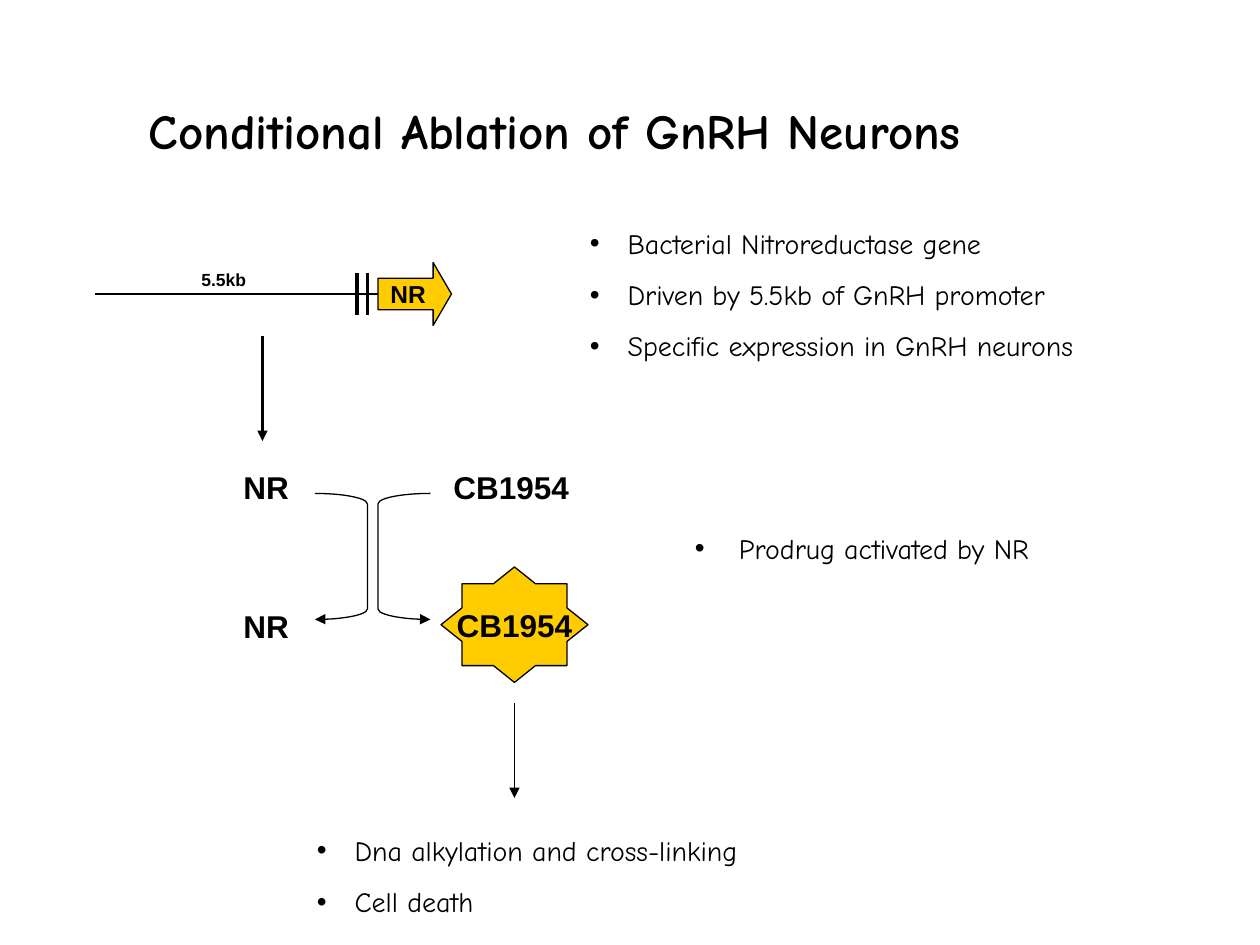
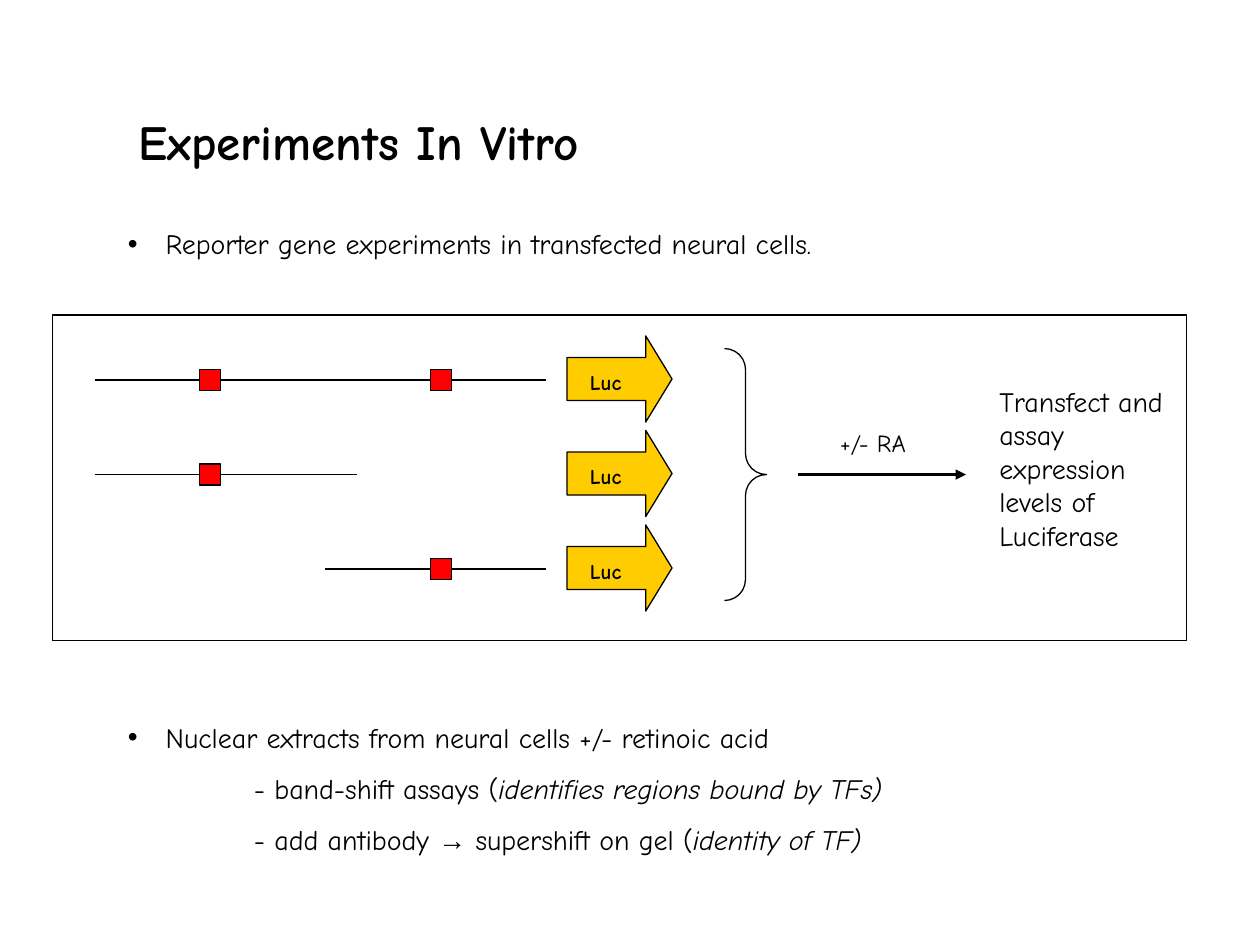
from lxml.etree import SubElement
from pptx import Presentation
from pptx.dml.color import RGBColor
from pptx.enum.shapes import MSO_CONNECTOR, MSO_SHAPE
from pptx.enum.text import MSO_ANCHOR, PP_ALIGN
from pptx.oxml.ns import qn
from pptx.util import Inches, Pt

COLS, ROWS = 120, 90
WIDE, HIGH = Inches(10), Inches(7.5)
BLACK, GOLD, RED = "000000", "FFCC00", "FF0000"
HAND, SANS = "Comic Neue", "Arial"
TIP = [(7, 0), (5, 1.6), (5, 3.9), (2, 3.9), (0, 5.5)]


def across(n):
    return round(WIDE * n / COLS)


def down(n):
    return round(HIGH * n / ROWS)


def place(x, y, w, h):
    return across(x), down(y), across(w), down(h)


def color(code):
    return RGBColor.from_string(code)


def ink(shape, fill=None, width=0.75):
    shape.shadow.inherit = False
    if fill:
        shape.fill.solid()
        shape.fill.fore_color.rgb = color(fill)
    else:
        shape.fill.background()
    shape.line.color.rgb = color(BLACK)
    shape.line.width = Pt(width)
    return shape


def point(item, end="tailEnd"):
    SubElement(item.line._get_or_add_ln(), qn("a:" + end), type="triangle")


def line(slide, x1, y1, x2, y2, width=0.75, arrow=False):
    bar = slide.shapes.add_connector(MSO_CONNECTOR.STRAIGHT, across(x1),
                                     down(y1), across(x2), down(y2))
    bar.line.color.rgb = color(BLACK)
    bar.line.width = Pt(width)
    if arrow:
        point(bar)
    SubElement(bar._element.spPr, qn("a:effectLst"))


def shape(slide, kind, box, fill=None, adjust=()):
    item = ink(slide.shapes.add_shape(kind, *place(*box)), fill)
    for i, value in enumerate(adjust):
        item.adjustments[i] = value
    return item


def write(frame, paras, size=16, font=HAND, bold=False, align=PP_ALIGN.LEFT,
          gap=0, bullet=0, inset=0, wrap=True, anchor=MSO_ANCHOR.TOP):
    frame.word_wrap = wrap
    frame.vertical_anchor = anchor
    for i, runs in enumerate(paras):
        para = frame.paragraphs[0] if i == 0 else frame.add_paragraph()
        props = para._p.get_or_add_pPr()
        if bullet and (i == 0 or not inset):
            props.set("marL", str(Inches(bullet)))
            props.set("indent", str(-Inches(bullet)))
            SubElement(props, qn("a:buFont"), typeface=SANS)
            SubElement(props, qn("a:buChar"), char="•")
        elif inset:
            props.set("marL", str(Inches(inset)))
            props.set("indent", "0")
        para.alignment = align
        if i:
            para.space_before = Pt(gap)
        for words, *style in [(runs,)] if isinstance(runs, str) else runs:
            run = para.add_run()
            run.text = words
            run.font.size = Pt(size)
            run.font.name = SANS if "sans" in style else font
            run.font.bold = bold
            run.font.italic = "slant" in style
            run.font.color.rgb = color(BLACK)


def text(slide, box, *paras, **form):
    write(slide.shapes.add_textbox(*place(*box)).text_frame, paras, **form)


def title(slide, box, words):
    text(slide, box, words, size=28, bold=True)


def bullets(slide, box, *paras, bullet=0.3, **form):
    text(slide, box, *paras, gap=10, bullet=bullet, **form)


def label(slide, box, words, size=18):
    text(slide, box, words, size=size, font=SANS, bold=True)


def star(slide, x, y, words):
    half = TIP + [(-a, b) for a, b in TIP[-2::-1]]
    ring = half + [(a, -b) for a, b in half[-2:0:-1]]
    dots = [(across(x + a), down(y + b)) for a, b in ring]
    pen = slide.shapes.build_freeform(*dots[0])
    pen.add_line_segments(dots[1:], close=True)
    item = ink(pen.convert_to_shape(), GOLD)
    write(item.text_frame, [words], size=18, font=SANS, bold=True,
          align=PP_ALIGN.CENTER, wrap=False, anchor=MSO_ANCHOR.MIDDLE)


def gene(slide, y, start, end, sites):
    line(slide, start, y, end, y)
    for x in sites:
        shape(slide, MSO_SHAPE.RECTANGLE, (x - 1, y - 1, 2, 2), RED)
    shape(slide, MSO_SHAPE.RIGHT_ARROW, (54, y - 4.2, 10, 8.2), GOLD,
          (0.5, 0.305))
    text(slide, (55, y - 1.6, 8, 3.6), "Luc", size=12, bold=True)


def ablate(slide):
    title(slide, (13, 9, 89, 6.8), "Conditional Ablation of GnRH Neurons")
    line(slide, 9, 28, 36, 28)
    shape(slide, MSO_SHAPE.RIGHT_ARROW, (36, 25, 7, 6), GOLD, (0.5, 0.291))
    label(slide, (36, 26, 6, 4), "NR", 14)
    for x in (34, 35):
        line(slide, x, 26, x, 30, 2.25)
    label(slide, (18, 25, 7, 3.2), "5.5kb", 10)
    for y in (44, 57.2):
        label(slide, (22, y, 8, 4.8), "NR")
    label(slide, (42, 44, 14, 4.8), "CB1954")
    for kind, x, end in ((MSO_SHAPE.RIGHT_BRACKET, 30, "tailEnd"),
                         (MSO_SHAPE.LEFT_BRACKET, 36, "headEnd")):
        point(shape(slide, kind, (x, 47, 5, 12), adjust=(0.2,)), end)
    star(slide, 49, 59.5, "CB1954")
    line(slide, 25, 32, 25, 42, 1.5, True)
    line(slide, 49, 67, 49, 76, arrow=True)
    bullets(slide, (29, 78.8, 48, 9.2), "Dna alkylation and cross-linking",
            "Cell death")
    bullets(slide, (55, 21, 53, 14.2), "Bacterial Nitroreductase gene",
            "Driven by 5.5kb of GnRH promoter",
            "Specific expression in GnRH neurons")
    bullets(slide, (65, 50, 37, 4.4), "Prodrug activated by NR", bullet=0.35)


def vitro(slide):
    title(slide, (12, 10, 57, 6.8), "Experiments In Vitro")
    bullets(slide, (11, 21, 77, 4.4),
            "Reporter gene experiments in transfected neural cells.")
    text(slide, (94, 36, 19, 17.3),
         "Transfect and assay expression levels of Luciferase")
    strands = ((9, 52, (20, 42)), (9, 34, (20,)), (31, 52, (42,)))
    for i, strand in enumerate(strands):
        gene(slide, 36.2 + 9 * i, *strand)
    shape(slide, MSO_SHAPE.RIGHT_BRACE, (69, 33.2, 4, 24), adjust=(0.5, 0.5))
    line(slide, 76, 45.2, 92, 45.2, 1.5, True)
    text(slide, (78.8, 40.2, 8.8, 4), "+/- RA", size=14, wrap=False)
    shape(slide, MSO_SHAPE.RECTANGLE, (5, 30, 108, 31))
    bullets(slide, (11, 68, 99, 14.2),
            "Nuclear extracts from neural cells +/- retinoic acid",
            [("- band-shift assays (",),
             ("identifies regions bound by TFs)", "slant")],
            [("- add antibody ",), ("→", "sans"), (" supershift on gel (",),
             ("identity of TF)", "slant")], inset=1)


def main():
    deck = Presentation()
    deck.slide_width, deck.slide_height = WIDE, HIGH
    for build in (ablate, vitro):
        build(deck.slides.add_slide(deck.slide_layouts[6]))
    deck.save("out.pptx")


if __name__ == "__main__":
    main()
